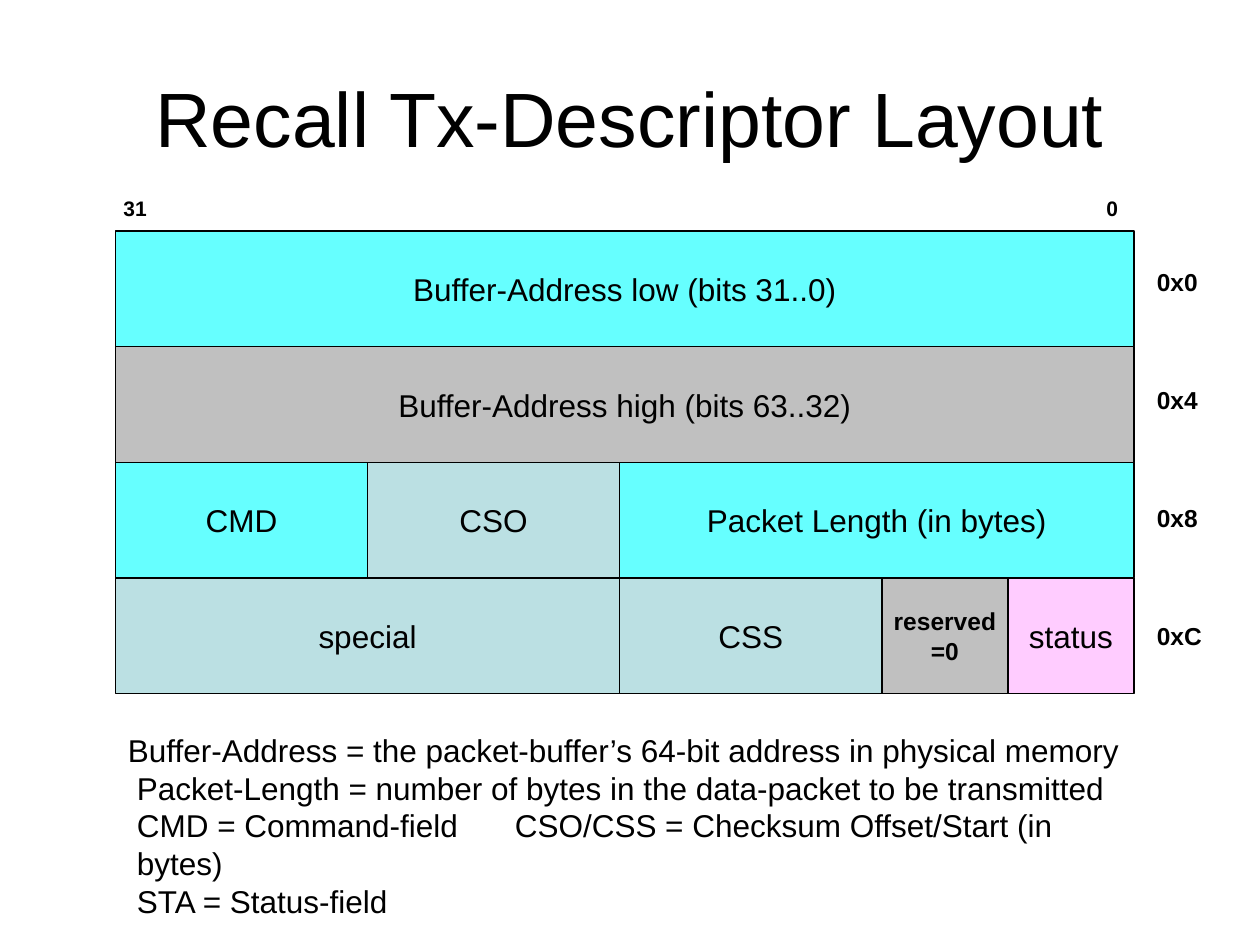
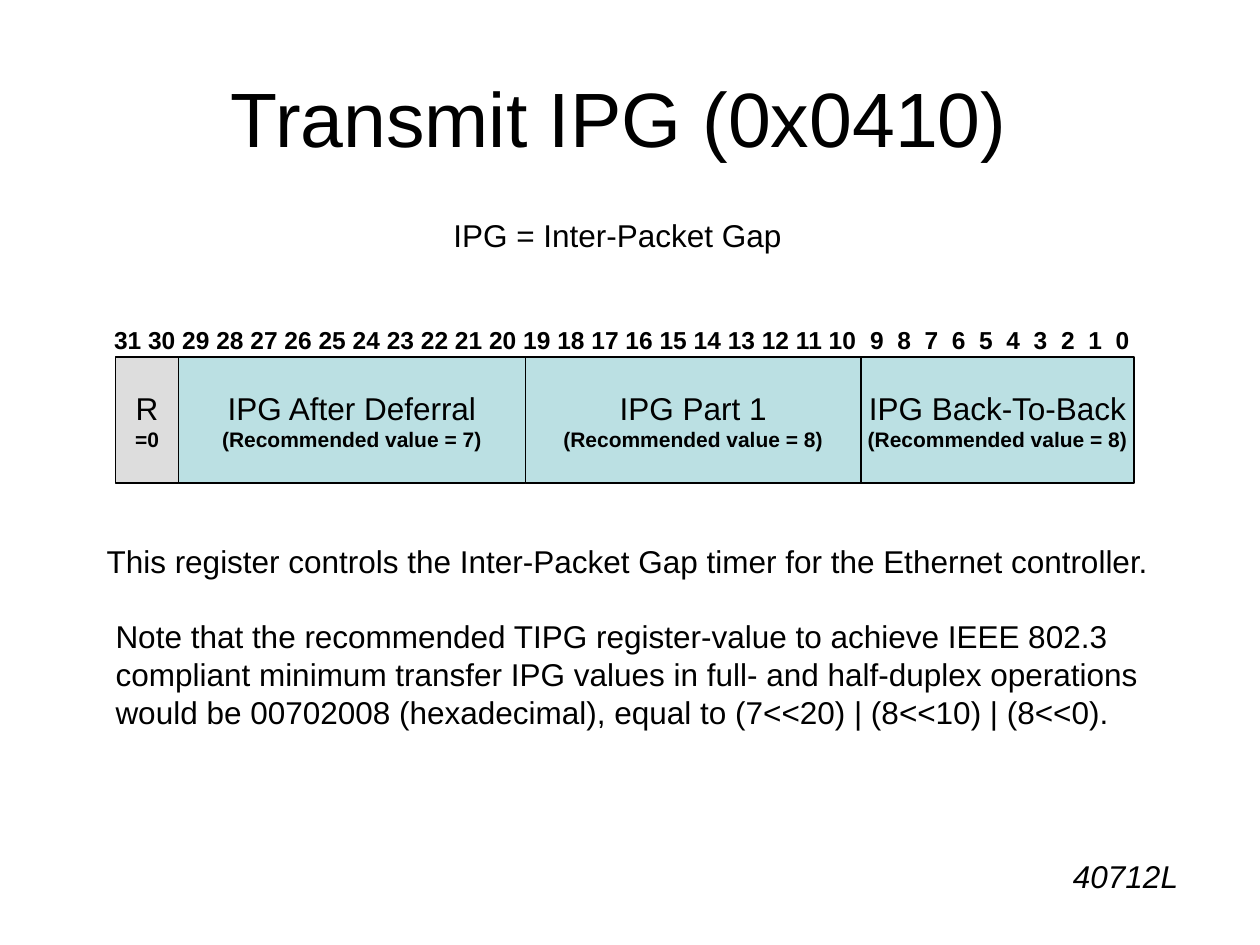
from lxml import etree
from pptx import Presentation
from pptx.dml.color import RGBColor
from pptx.enum.shapes import MSO_SHAPE
from pptx.enum.text import MSO_ANCHOR, PP_ALIGN
from pptx.oxml.ns import qn
from pptx.util import Cm, Pt

RECTANGLE = MSO_SHAPE.RECTANGLE
MIDDLE, TOP = MSO_ANCHOR.MIDDLE, MSO_ANCHOR.TOP
LEFT, CENTER = PP_ALIGN.LEFT, PP_ALIGN.CENTER

BLACK = RGBColor(0x00, 0x00, 0x00)
CYAN = RGBColor(0x66, 0xFF, 0xFF)
SILVER = RGBColor(0xC0, 0xC0, 0xC0)
PALE_GREY = RGBColor(0xDD, 0xDD, 0xDD)
PALE_TEAL = RGBColor(0xBB, 0xE0, 0xE3)
PINK = RGBColor(0xFF, 0xCC, 0xFF)

FONT = "Arial"
FIELD_LEFT = 2.33
SPACE_INDENT = 0.18


def add_run(paragraph, text, size, bold=False, italic=False):
    run = paragraph.add_run()
    run.text = text
    run.font.name = FONT
    run.font.size = Pt(size)
    run.font.bold = bold
    run.font.italic = italic
    run.font.color.rgb = BLACK


def add_tab_stops(paragraph, stops):
    tab_list = etree.SubElement(paragraph._p.get_or_add_pPr(), qn("a:tabLst"))
    for position, alignment in stops:
        tab = etree.SubElement(tab_list, qn("a:tab"))
        tab.set("pos", str(Cm(position)))
        tab.set("algn", alignment)


def write_lines(frame, lines, align=LEFT, anchor=TOP):
    frame.vertical_anchor = anchor
    for index, (text, size, bold) in enumerate(lines):
        paragraph = frame.paragraphs[0] if index == 0 else frame.add_paragraph()
        paragraph.alignment = align
        add_run(paragraph, text, size, bold)
    return frame.paragraphs


def add_text(slide, left, top, width, height, lines, align=LEFT, anchor=TOP):
    box = slide.shapes.add_textbox(Cm(left), Cm(top), Cm(width), Cm(height))
    box.text_frame.word_wrap = True
    return write_lines(box.text_frame, lines, align, anchor)


def add_title(slide, text):
    add_text(slide, 1.27, 0.76, 22.86, 3.18, [(text, 44, False)], CENTER, MIDDLE)


def add_field_row(slide, top, height, fields):
    left = FIELD_LEFT
    for width, fill, lines in fields:
        shape = slide.shapes.add_shape(
            RECTANGLE, Cm(left), Cm(top), Cm(width), Cm(height))
        shape.shadow.inherit = False
        shape.fill.solid()
        shape.fill.fore_color.rgb = fill
        shape.line.color.rgb = BLACK
        shape.line.width = Pt(0.75)
        shape.text_frame.word_wrap = False
        write_lines(shape.text_frame, lines, CENTER, MIDDLE)
        left += width


def indent_lines(paragraphs):
    for paragraph in paragraphs:
        paragraph._p.get_or_add_pPr().set("marL", str(Cm(SPACE_INDENT)))


def build_descriptor_slide(slide):
    add_title(slide, "Recall Tx-Descriptor Layout")
    bit_ends = add_text(slide, 2.24, 3.81, 20.62, 0.76, [("31\t0", 12, True)])
    add_tab_stops(bit_ends[0], [(20.05, "r")])

    row_height = 2.33
    rows = [
        [(20.53, CYAN, [("Buffer-Address low (bits 31..0)", 18, False)])],
        [(20.53, SILVER, [("Buffer-Address high (bits 63..32)", 18, False)])],
        [(5.08, CYAN, [("CMD", 18, False)]),
         (5.08, PALE_TEAL, [("CSO", 18, False)]),
         (10.37, CYAN, [("Packet Length (in bytes)", 18, False)])],
        [(10.16, PALE_TEAL, [("special", 18, False)]),
         (5.29, PALE_TEAL, [("CSS", 18, False)]),
         (2.54, SILVER, [("reserved", 14, True), ("=0", 14, True)]),
         (2.54, PINK, [("status", 18, False)])],
    ]
    for index, fields in enumerate(rows):
        add_field_row(slide, 4.66 + index * row_height, row_height, fields)

    offsets = add_text(slide, 23.07, 5.26, 1.6, 8.53, [
        (offset, 14, True) for offset in ("0x0", "0x4", "0x8", "0xC")])
    for paragraph in offsets[1:]:
        paragraph.space_before = Pt(50.6)

    notes = add_text(slide, FIELD_LEFT, 14.61, 21, 3.3, [
        (text, 18, False) for text in (
            "Buffer-Address = the packet-buffer’s 64-bit address in physical memory",
            "Packet-Length = number of bytes in the data-packet to be transmitted",
            "CMD = Command-field\tCSO/CSS = Checksum Offset/Start (in bytes)",
            "STA = Status-field")])
    indent_lines(notes[1:])
    add_tab_stops(notes[2], [(7.62, "l")])


def build_gap_slide(slide):
    add_title(slide, "Transmit IPG (0x0410) ")
    add_text(slide, 8.89, 4.24, 7.3, 1.02, [("IPG = Inter-Packet Gap", 18, False)])

    two_digits = " ".join(str(bit) for bit in range(31, 9, -1))
    one_digit = "\t".join(str(bit) for bit in range(9, -1, -1))
    bit_numbers = add_text(slide, 2.05, 6.43, 21.2, 0.86,
                           [(two_digits + "\t" + one_digit, 14, True)])
    add_tab_stops(bit_numbers[0], [(15.24 + 0.55 * step, "l") for step in range(10)])

    add_field_row(slide, 7.2, 2.54, [
        (width, fill, [(name, 18, False), (value, 12, True)])
        for width, fill, name, value in (
            (1.27, PALE_GREY, "R", "=0"),
            (6.99, PALE_TEAL, "IPG After Deferral", "(Recommended value = 7)"),
            (6.77, PALE_TEAL, "IPG Part 1", "(Recommended value = 8)"),
            (5.5, PALE_TEAL, "IPG Back-To-Back", "(Recommended value = 8)"))])

    remarks = add_text(slide, 1.9, 10.8, 21.7, 4.06, [
        (text, 18, False) for text in (
            "This register controls the Inter-Packet Gap timer for the Ethernet controller.",
            "Note that the recommended TIPG register-value to achieve IEEE 802.3",
            "compliant minimum transfer IPG values in full- and half-duplex operations",
            "would be 00702008 (hexadecimal), equal to (7<<20) | (8<<10) | (8<<0).")])
    indent_lines(remarks[1:])
    remarks[1].space_before = Pt(21.6)

    model = add_text(slide, 21.38, 17.15, 2.7, 1.02, [("40712L", 18, False)])
    model[0].runs[0].font.italic = True


def main():
    presentation = Presentation()
    presentation.slide_width = Cm(25.4)
    presentation.slide_height = Cm(19.05)
    blank = presentation.slide_layouts[6]
    build_descriptor_slide(presentation.slides.add_slide(blank))
    build_gap_slide(presentation.slides.add_slide(blank))
    presentation.save("out.pptx")


if __name__ == "__main__":
    main()
